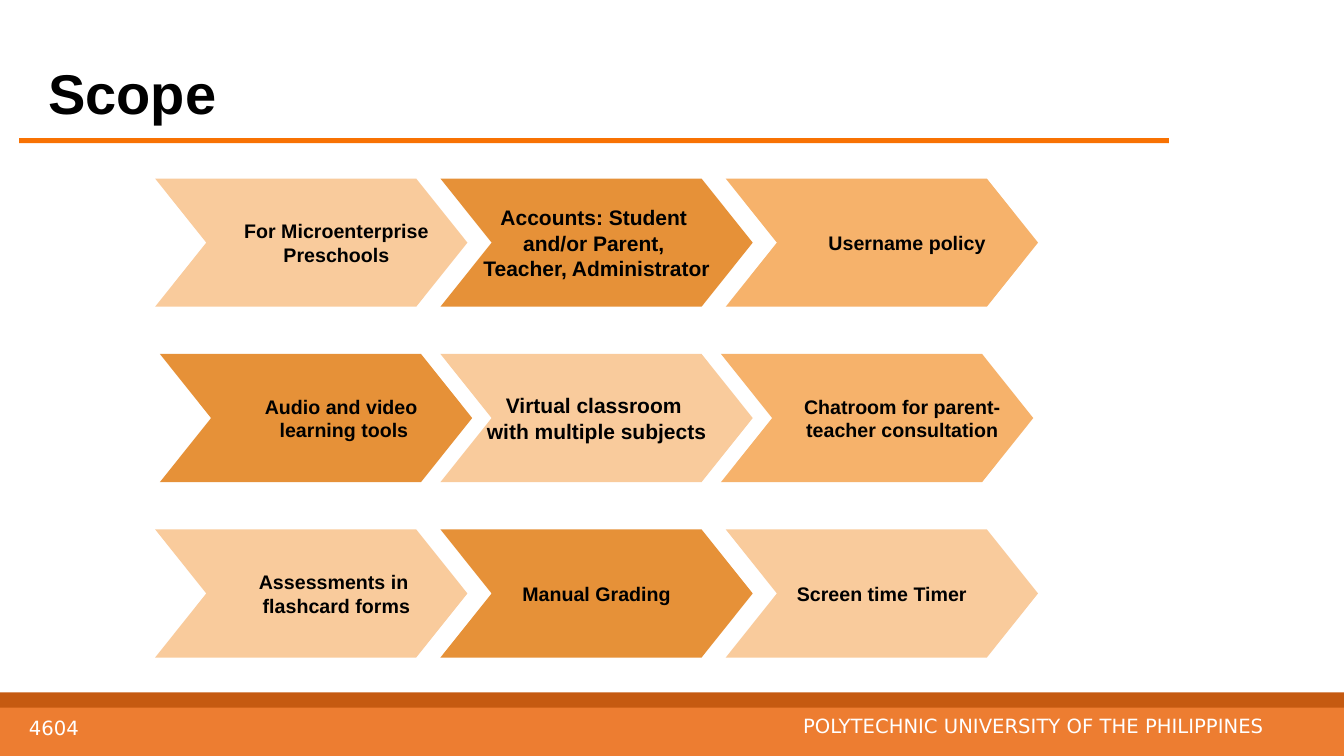
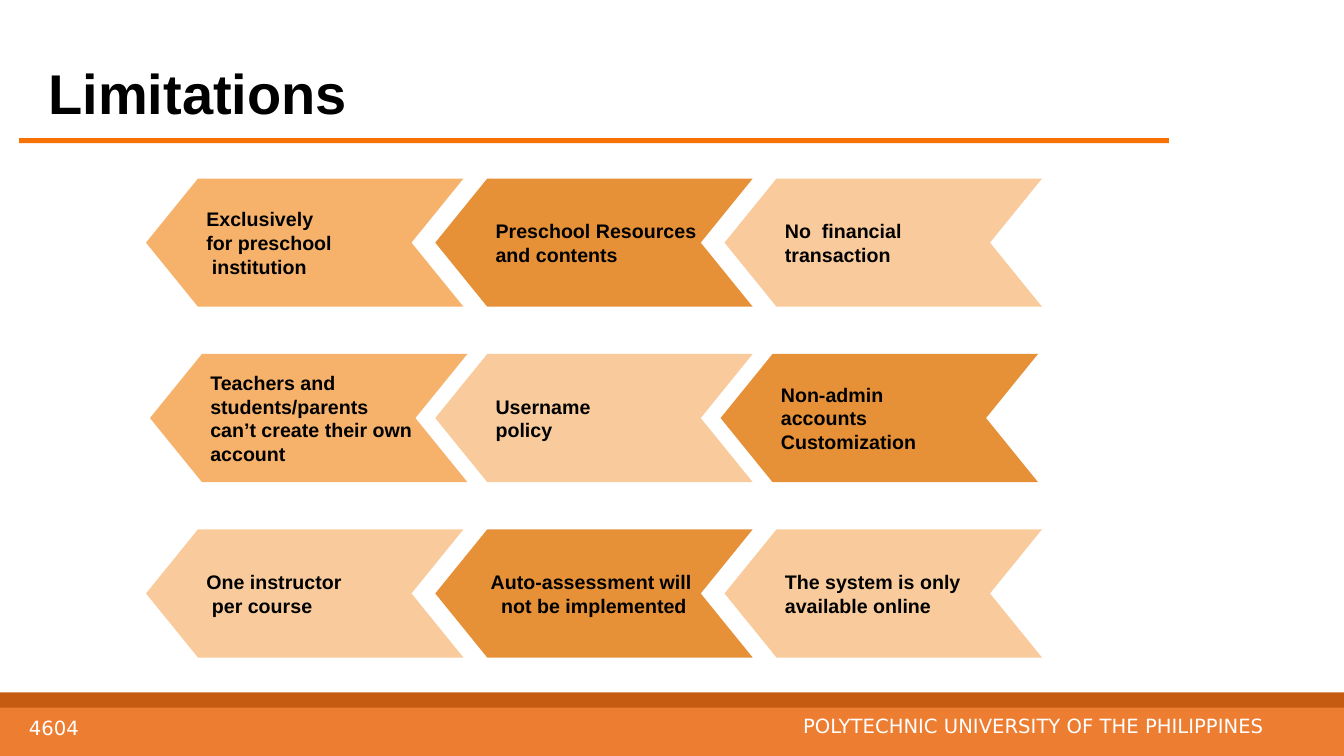
from dataclasses import dataclass

from pptx import Presentation
from pptx.dml.color import RGBColor
from pptx.enum.shapes import MSO_SHAPE
from pptx.enum.text import MSO_ANCHOR, MSO_AUTO_SIZE, PP_ALIGN
from pptx.util import Cm, Pt


# Shared look
@dataclass(frozen=True)
class Theme:
    black: str = "000000"
    white: str = "FFFFFF"
    rule: str = "F87203"
    band_dark: str = "C55A11"
    band: str = "ED7D31"
    pale: str = "F9CB9C"
    medium: str = "F6B26B"
    deep: str = "E69138"
    heading_font: str = "Arial"
    footer_font: str = "DejaVu Sans"
    title_size: float = 40
    large_size: float = 15
    label_size: float = 14


THEME = Theme()
SLIDE_WIDTH, SLIDE_HEIGHT = 33.87, 19.05
INDENT = 1.27
NUDGE = 0.14
ARROW_HEIGHT = 3.23
FIRST_ROW_TOP, ROW_PITCH = 4.5, 4.42


# All lengths below are in centimetres
@dataclass(frozen=True)
class Box:
    left: float
    top: float
    width: float
    height: float

    def lengths(self) -> tuple:
        return Cm(self.left), Cm(self.top), Cm(self.width), Cm(self.height)


@dataclass(frozen=True)
class TextStyle:
    font: str
    size: float
    color: str
    bold: bool = False


@dataclass(frozen=True)
class Line:
    text: str
    left: float = INDENT
    right: float = 0


@dataclass(frozen=True)
class Arrow:
    fill: str
    lines: tuple[Line, ...]
    align: PP_ALIGN = PP_ALIGN.CENTER
    size: float = THEME.label_size


@dataclass(frozen=True)
class ArrowGrid:
    middle_left: float
    width: float
    tip: float
    pitches: tuple[float, ...]
    points_left: bool


@dataclass(frozen=True)
class ArrowSlide:
    title: str
    grid: ArrowGrid
    rows: tuple[tuple[Arrow, ...], ...]


TITLE_STYLE = TextStyle(THEME.heading_font, THEME.title_size, THEME.black, True)
FOOTER_STYLE = TextStyle(THEME.footer_font, THEME.label_size, THEME.white)


# Drawing helpers
def add_run(paragraph, text: str, style: TextStyle) -> None:
    run = paragraph.add_run()
    run.text = text
    run.font.name = style.font
    run.font.size = Pt(style.size)
    run.font.bold = style.bold
    run.font.color.rgb = RGBColor.from_string(style.color)


def set_frame(frame, anchor: MSO_ANCHOR, side: float = 0.25, edge: float = 0.13) -> None:
    frame.word_wrap = True
    frame.auto_size = MSO_AUTO_SIZE.NONE
    frame.vertical_anchor = anchor
    frame.margin_left = frame.margin_right = Cm(side)
    frame.margin_top = frame.margin_bottom = Cm(edge)


def paint(shape, color: str) -> None:
    shape.shadow.inherit = False
    shape.fill.solid()
    shape.fill.fore_color.rgb = RGBColor.from_string(color)
    shape.line.fill.background()


def add_bar(slide, box: Box, color: str) -> None:
    paint(slide.shapes.add_shape(MSO_SHAPE.RECTANGLE, *box.lengths()), color)


def add_footer_text(slide, box: Box, text: str, align: PP_ALIGN,
                    anchor: MSO_ANCHOR, side: float, spacing: float) -> None:
    frame = slide.shapes.add_textbox(*box.lengths()).text_frame
    set_frame(frame, anchor, side)
    paragraph = frame.paragraphs[0]
    paragraph.alignment = align
    paragraph.line_spacing = spacing
    add_run(paragraph, text, FOOTER_STYLE)


def add_frame_parts(slide, title: str) -> None:
    # Title and rule
    placeholder = slide.shapes.title
    placeholder.left, placeholder.top, placeholder.width, placeholder.height = (
        Box(0.97, 1.35, 28.14, 1.96).lengths())
    set_frame(placeholder.text_frame, MSO_ANCHOR.TOP)
    paragraph = placeholder.text_frame.paragraphs[0]
    paragraph.alignment = PP_ALIGN.LEFT
    add_run(paragraph, title, TITLE_STYLE)
    add_bar(slide, Box(0.48, 3.48, 28.98, 0.13), THEME.rule)

    # Footer bands and texts
    add_bar(slide, Box(0, 17.45, SLIDE_WIDTH, 0.58), THEME.band_dark)
    add_bar(slide, Box(0, 17.83, SLIDE_WIDTH, 1.22), THEME.band)
    add_footer_text(slide, Box(18.92, 18.03, 12.93, 0.64),
                    "POLYTECHNIC UNIVERSITY OF THE PHILIPPINES",
                    PP_ALIGN.RIGHT, MSO_ANCHOR.TOP, 0, 0.7)
    add_footer_text(slide, Box(0.48, 17.75, 7.26, 1.02), "4604",
                    PP_ALIGN.LEFT, MSO_ANCHOR.BOTTOM, 0.25, 0.85)


def add_arrow(slide, arrow: Arrow, grid: ArrowGrid, left: float, top: float) -> None:
    right_pointing = (
        (0, 0), (grid.tip, ARROW_HEIGHT / 2), (0, ARROW_HEIGHT),
        (grid.width - grid.tip, ARROW_HEIGHT), (grid.width, ARROW_HEIGHT / 2),
        (grid.width - grid.tip, 0),
    )
    points = [
        (Cm(left + (grid.width - x if grid.points_left else x)), Cm(top + y))
        for x, y in right_pointing
    ]
    builder = slide.shapes.build_freeform(*points[0])
    builder.add_line_segments(points[1:], close=True)
    shape = builder.convert_to_shape()
    paint(shape, arrow.fill)

    frame = shape.text_frame
    set_frame(frame, MSO_ANCHOR.MIDDLE, edge=0.25)
    style = TextStyle(THEME.heading_font, arrow.size, THEME.black, True)
    for index, line in enumerate(arrow.lines):
        paragraph = frame.add_paragraph() if index else frame.paragraphs[0]
        paragraph.alignment = arrow.align
        properties = paragraph._p.get_or_add_pPr()
        properties.set("marL", str(Cm(line.left)))
        properties.set("marR", str(Cm(line.right)))
        add_run(paragraph, line.text, style)


def add_arrow_slide(presentation, content: ArrowSlide) -> None:
    slide = presentation.slides.add_slide(presentation.slide_layouts[5])
    add_frame_parts(slide, content.title)
    grid = content.grid
    for row, (arrows, pitch) in enumerate(zip(content.rows, grid.pitches)):
        for column, arrow in enumerate(arrows):
            left = grid.middle_left + (column - 1) * pitch
            add_arrow(slide, arrow, grid, left, FIRST_ROW_TOP + row * ROW_PITCH)


def left_arrow(fill: str, *lines: Line) -> Arrow:
    return Arrow(fill, lines, PP_ALIGN.LEFT)


# Slide contents
SCOPE = ArrowSlide(
    "Scope",
    ArrowGrid(11.1, 7.87, 1.29, (7.19, 7.07, 7.19), points_left=False),
    (
        (
            Arrow(THEME.pale, (Line("For Microenterprise Preschools"),)),
            Arrow(THEME.deep, (Line("Accounts: Student", 0, NUDGE),
                               Line("and/or Parent,", 0, NUDGE),
                               Line("Teacher, Administrator", 0)),
                  size=THEME.large_size),
            Arrow(THEME.medium, (Line("Username policy"),)),
        ),
        (
            Arrow(THEME.deep, (Line("Audio and video"),
                               Line("learning tools", INDENT + NUDGE))),
            Arrow(THEME.pale, (Line("Virtual classroom", 0, NUDGE),
                               Line("with multiple subjects", 0)),
                  size=THEME.large_size),
            Arrow(THEME.medium, (Line("Chatroom for parent-teacher consultation"),)),
        ),
        (
            Arrow(THEME.pale, (Line("Assessments in", INDENT, NUDGE),
                               Line("flashcard forms"))),
            Arrow(THEME.deep, (Line("Manual Grading", 0),)),
            Arrow(THEME.pale, (Line("Screen time Timer", 0),)),
        ),
    ),
)

LIMITATIONS = ArrowSlide(
    "Limitations",
    ArrowGrid(10.97, 8, 1.31, (7.29, 7.19, 7.29), points_left=True),
    (
        (
            left_arrow(THEME.medium, Line("Exclusively"), Line("for preschool"),
                       Line("institution", INDENT + NUDGE)),
            left_arrow(THEME.deep, Line("Preschool Resources"), Line("and contents")),
            left_arrow(THEME.pale, Line("No  financial"), Line("transaction")),
        ),
        (
            left_arrow(THEME.medium, Line("Teachers and students/parents"),
                       Line("can’t create their own account")),
            left_arrow(THEME.pale, Line("Username"), Line("policy")),
            left_arrow(THEME.deep, Line("Non-admin"), Line("accounts"),
                       Line("Customization")),
        ),
        (
            left_arrow(THEME.pale, Line("One instructor"),
                       Line("per course", INDENT + NUDGE)),
            Arrow(THEME.deep, (Line("Auto-assessment will", 0, NUDGE),
                               Line("not be implemented", 0))),
            left_arrow(THEME.pale, Line("The system is only"),
                       Line("available online")),
        ),
    ),
)


def main() -> None:
    presentation = Presentation()
    presentation.slide_width = Cm(SLIDE_WIDTH)
    presentation.slide_height = Cm(SLIDE_HEIGHT)
    for content in (SCOPE, LIMITATIONS):
        add_arrow_slide(presentation, content)
    presentation.save("out.pptx")


if __name__ == "__main__":
    main()
